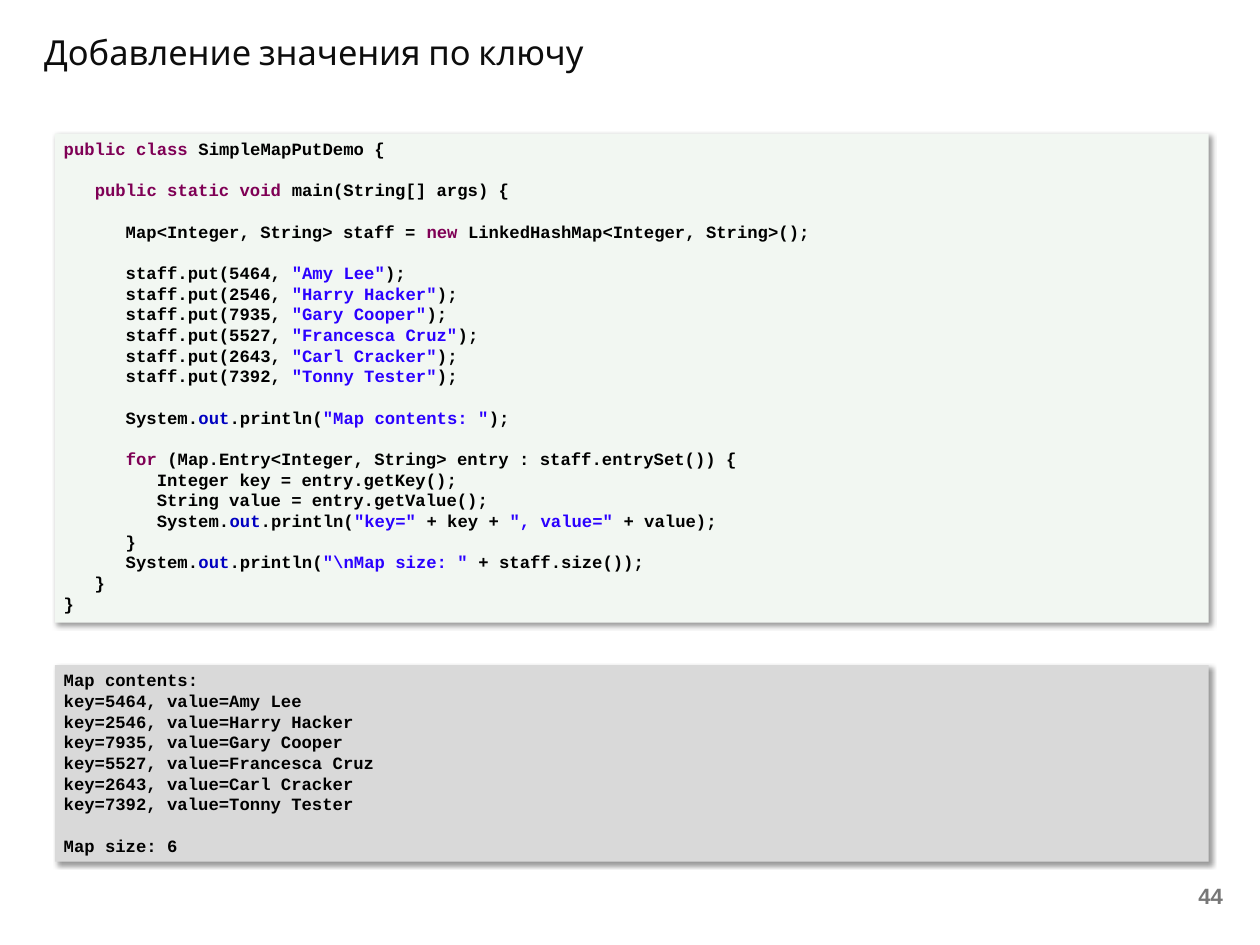
from lxml.etree import SubElement
from pptx import Presentation
from pptx.dml.color import RGBColor
from pptx.enum.shapes import MSO_SHAPE
from pptx.enum.text import MSO_ANCHOR, PP_ALIGN
from pptx.oxml.ns import qn
from pptx.util import Inches, Pt

BLACK = RGBColor(0x00, 0x00, 0x00)
TITLE_INK = RGBColor(0x0D, 0x0D, 0x0D)
NUMBER_GREY = RGBColor(0x77, 0x77, 0x77)
KEYWORD = RGBColor(0x7F, 0x00, 0x55)
STRING = RGBColor(0x2A, 0x00, 0xFF)
FIELD = RGBColor(0x00, 0x00, 0xC0)
CODE_FILL = RGBColor(0xF2, 0xF7, 0xF2)
OUTPUT_FILL = RGBColor(0xD9, 0xD9, 0xD9)

TITLE = "Добавление значения по ключу"
PAGE = "44"
STAFF = [
    (5464, "Amy Lee"),
    (2546, "Harry Hacker"),
    (7935, "Gary Cooper"),
    (5527, "Francesca Cruz"),
    (2643, "Carl Cracker"),
    (7392, "Tonny Tester"),
]
# Blocks of lines, one blank line apart; backticks enclose coloured words.
CODE = [
    ["`public class` SimpleMapPutDemo {"],
    ["   `public static void` main(String[] args) {"],
    ["      Map<Integer, String> staff = `new` LinkedHashMap<Integer, String>();"],
    [f'      staff.put({key}, `"{name}"`);' for key, name in STAFF],
    ['      System.`out`.println(`"Map contents: "`);'],
    [
        "      `for` (Map.Entry<Integer, String> entry : staff.entrySet()) {",
        "         Integer key = entry.getKey();",
        "         String value = entry.getValue();",
        '         System.`out`.println(`"key="` + key + `", value="` + value);',
        "      }",
        r'      System.`out`.println(`"\nMap size: "` + staff.size());',
        "   }",
        "}",
    ],
]
OUTPUT = [
    ["Map contents:"] + [f"key={key}, value={name}" for key, name in STAFF],
    [f"Map size: {len(STAFF)}"],
]

SLIDE_W, SLIDE_H = 14.22, 10.67
PANEL_X, PANEL_W = 0.62, 13.02
LINE_HEIGHT = Pt(16.8)


def add_run(p, text, font, size, color, bold=False):
    r = p.add_run()
    r.text = text
    r.font.name, r.font.size, r.font.bold = font, Pt(size), bold
    r.font.color.rgb = color


def token_color(token):
    if token.startswith('"'):
        return STRING
    return FIELD if token == "out" else KEYWORD


def add_shadow(sp):
    """Soft black shadow falling to the lower right."""
    sp.shadow.inherit = False
    effects = sp._element.spPr.find(qn("a:effectLst"))
    shadow = SubElement(effects, qn("a:outerShdw"), blurRad=str(Pt(4)), dist=str(Pt(3)),
                        dir=str(45 * 60000), algn="tl", rotWithShape="0")
    color = SubElement(shadow, qn("a:srgbClr"), val="000000")
    SubElement(color, qn("a:alpha"), val="40000")


def add_panel(slide, top, height, fill, blocks):
    sp = slide.shapes.add_shape(MSO_SHAPE.RECTANGLE, Inches(PANEL_X), Inches(top),
                                Inches(PANEL_W), Inches(height))
    sp.fill.solid()
    sp.fill.fore_color.rgb = fill
    sp.line.fill.background()
    add_shadow(sp)
    tf = sp.text_frame
    tf.word_wrap = True
    tf.vertical_anchor = MSO_ANCHOR.TOP
    for b, block in enumerate(blocks):
        for n, line in enumerate(block):
            p = tf.add_paragraph() if b or n else tf.paragraphs[0]
            p.alignment = PP_ALIGN.LEFT
            p.line_spacing = LINE_HEIGHT
            if b and n == 0:
                p.space_before = LINE_HEIGHT
            for i, text in enumerate(line.split("`")):
                if text:
                    color = token_color(text) if i % 2 else BLACK
                    add_run(p, text, "Courier New", 14, color, bold=True)


def add_label(slide, left, top, width, height, wrap=False):
    tf = slide.shapes.add_textbox(Inches(left), Inches(top),
                                  Inches(width), Inches(height)).text_frame
    tf.word_wrap = wrap
    return tf


def main():
    prs = Presentation()
    prs.slide_width, prs.slide_height = Inches(SLIDE_W), Inches(SLIDE_H)
    slide = prs.slides.add_slide(prs.slide_layouts[6])

    tf = add_label(slide, 0.4, 0.3, 11.03, 0.63, wrap=True)
    add_run(tf.paragraphs[0], TITLE, "Cabin", 28, TITLE_INK)

    tf = add_label(slide, 10.58, 9.85, 3.32, 0.53, wrap=True)
    tf.vertical_anchor = MSO_ANCHOR.MIDDLE
    tf.paragraphs[0].alignment = PP_ALIGN.RIGHT
    add_run(tf.paragraphs[0], PAGE, "Arial", 18, NUMBER_GREY, bold=True)

    add_panel(slide, 1.51, 5.52, CODE_FILL, CODE)
    add_panel(slide, 7.51, 2.22, OUTPUT_FILL, OUTPUT)
    prs.save("out.pptx")


if __name__ == "__main__":
    main()
